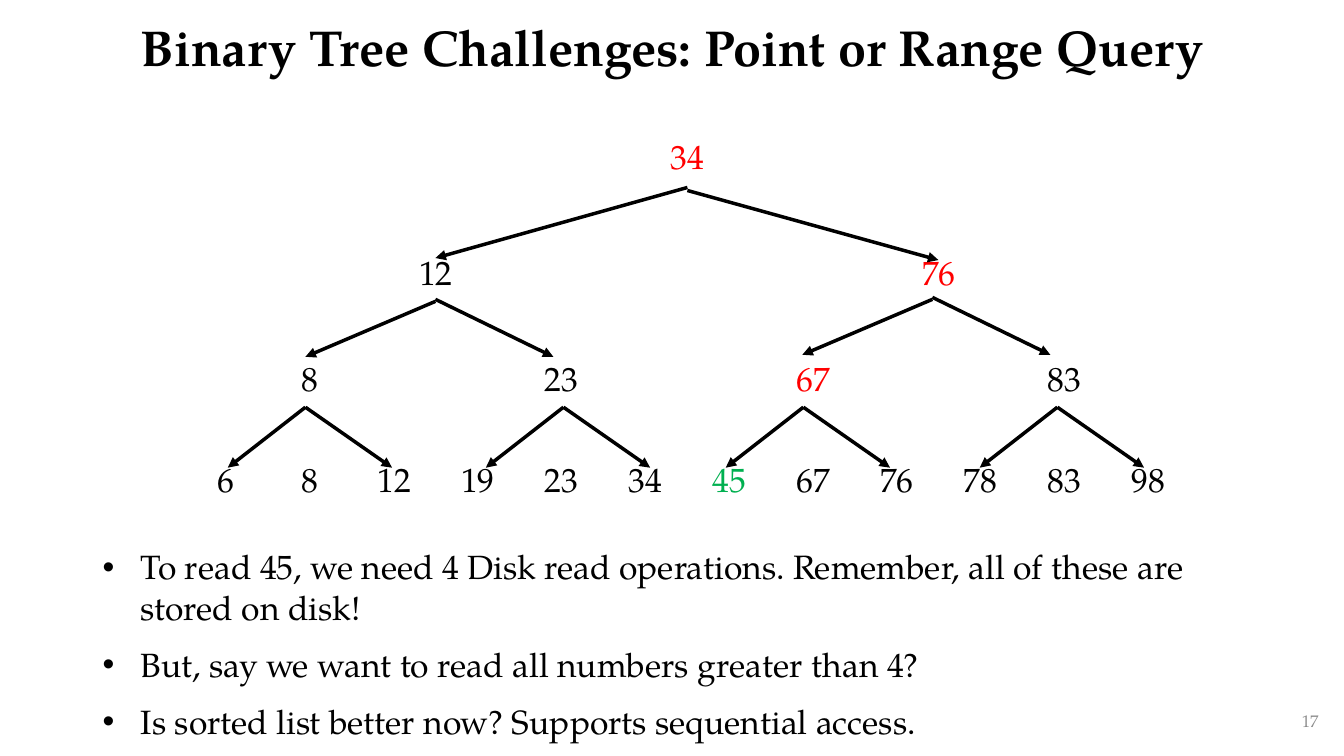
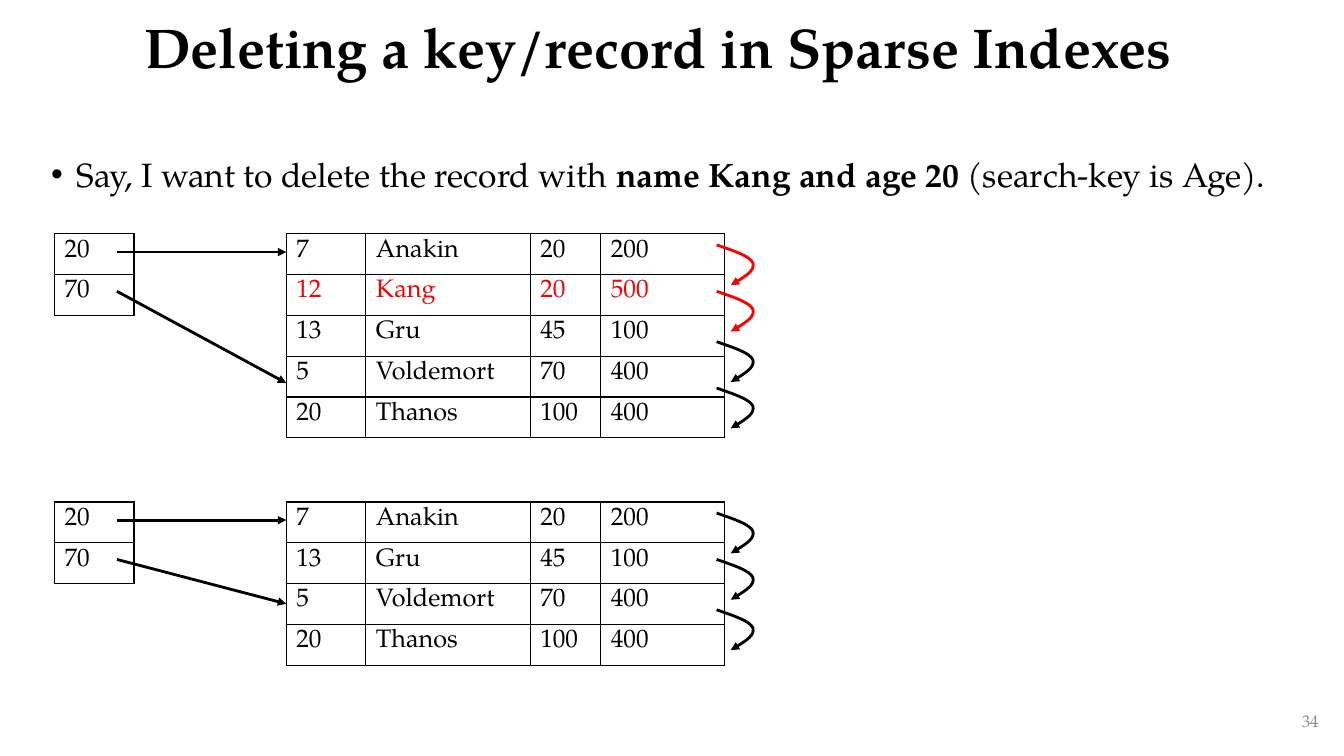
import pptx
import pptx.util
import pptx.dml.color
import pptx.enum.shapes
import pptx.enum.text
import pptx.oxml.ns
from lxml import etree

Inches, Pt = pptx.util.Inches, pptx.util.Pt
ALIGN = pptx.enum.text.PP_ALIGN
ANCHOR = pptx.enum.text.MSO_ANCHOR
qn = pptx.oxml.ns.qn

FONT = "TeX Gyre Pagella"
COLORS = {"ink": "000000", "red": "FF0000", "green": "00B050", "gray": "8C8C8C", "white": "FFFFFF"}
PLAIN = "{2D5ABB26-0587-4C30-8999-92F81FD0307C}"

TREE = {
    "title": ("Binary Tree Challenges: Point or Range Query", 36, 0.92, 11.5),
    "page": "17",
    "left": 1.83,
    "width": 9.98,
    "levels": [
        (1.39, ["34"]),
        (2.54, ["12", "76"]),
        (3.59, ["8", "23", "67", "83"]),
        (4.59, ["6", "8", "12", "19", "23", "34", "45", "67", "76", "78", "83", "98"]),
    ],
    "marks": {(0, 0): "red", (1, 1): "red", (2, 2): "red", (3, 6): "green"},
    "forks": [
        ([(6.82, 1.86)], [(-2.5, 0, 0.7), (2.49, 0.03, 0.72)]),
        ([(4.32, 2.99), (9.25, 2.97)], [(-1.29, 0, 0.55), (1.17, -0.02, 0.55)]),
        ([(3.03, 4.04), (5.59, 4.04), (7.97, 4.04), (10.49, 4.04)],
         [(-0.77, 0, 0.6), (0.86, 0, 0.6)]),
    ],
    "notes": [
        "To read 45, we need 4 Disk read operations. Remember, all of these are stored on disk!",
        "But, say we want to read all numbers greater than 4?",
        "Is sorted list better now? Supports sequential access.",
    ],
}

ROWS = [
    ["7", "Anakin", "20", "200"],
    ["12", "Kang", "20", "500"],
    ["13", "Gru", "45", "100"],
    ["5", "Voldemort", "70", "400"],
    ["20", "Thanos", "100", "400"],
]
KEYS = [["20"], ["70"]]
SPARSE = {
    "title": ("Deleting a key/record in Sparse Indexes", 40, 0.54, 11.97),
    "page": "34",
    "task": [
        ("Say, I want to delete the record with ", False),
        ("name Kang and age 20 ", True),
        ("(search-key is Age).", False),
    ],
    "stages": [
        {"top": 2.32, "rows": ROWS, "gone": 1, "reds": 2, "drop": 1.48},
        {"top": 4.98, "rows": ROWS[:1] + ROWS[2:], "gone": None, "reds": 0, "drop": 1.01},
    ],
}
COLS = [0.79, 1.63, 0.7, 1.23]
ROW = 0.81 / 2
HOPS = [0.11, 0.57, 1.07, 1.53]
CURVE = [
    [(0.17, 0.06), (0.33, 0.11), (0.36, 0.18)],
    [(0.38, 0.25), (0.26, 0.33), (0.14, 0.4)],
]


def rgb(name):
    return pptx.dml.color.RGBColor.from_string(COLORS[name])


def add_run(para, text, size, color="ink", bold=False):
    run = para.add_run()
    run.text = text
    font = run.font
    font.name, font.size, font.bold = FONT, Pt(size), bold
    font.color.rgb = rgb(color)


def add_box(slide, left, top, width, height, anchor=ANCHOR.TOP):
    frame = slide.shapes.add_textbox(*map(Inches, (left, top, width, height))).text_frame
    frame.word_wrap = True
    frame.vertical_anchor = anchor
    return frame


def set_bullet(para, indent):
    props = para._p.get_or_add_pPr()
    props.set("marL", str(Inches(indent)))
    props.set("indent", str(-Inches(indent)))
    etree.SubElement(props, qn("a:buFont"), typeface="Arial")
    etree.SubElement(props, qn("a:buChar"), char="•")


def style_arrow(shape, color, width):
    shape.line.color.rgb = rgb(color)
    shape.line.width = Pt(width)
    props = shape._element.spPr
    etree.SubElement(props.find(qn("a:ln")), qn("a:tailEnd"), type="triangle")
    etree.SubElement(props, qn("a:effectLst"))


def add_arrow(slide, start, end, width):
    kind = pptx.enum.shapes.MSO_CONNECTOR.STRAIGHT
    line = slide.shapes.add_connector(kind, *map(Inches, (*start, *end)))
    style_arrow(line, "ink", width)


def add_hop(slide, left, top, color):
    knots = [(Inches(left + x), Inches(top + y)) for x, y in [part[-1] for part in CURVE]]
    draft = slide.shapes.build_freeform(Inches(left), Inches(top))
    draft.add_line_segments(knots, close=False)
    shape = draft.convert_to_shape()
    lines = list(shape._element.iter(qn("a:lnTo")))
    for line, part in zip(lines, CURVE):
        bend = etree.Element(qn("a:cubicBezTo"))
        for x, y in part:
            etree.SubElement(bend, qn("a:pt"), x=str(Inches(x)), y=str(Inches(y)))
        line.getparent().replace(line, bend)
    shape.fill.background()
    style_arrow(shape, color, 2)


def add_grid(slide, left, top, cols, height, rows, size, align, tint, border=False):
    frame = slide.shapes.add_table(
        len(rows), len(cols), *map(Inches, (left, top, sum(cols), height * len(rows)))
    )
    table = frame.table
    table.first_row = table.horz_banding = False
    table._tbl.tblPr.find(qn("a:tableStyleId")).text = PLAIN
    for col, width in zip(table.columns, cols):
        col.width = Inches(width)
    for r, row in enumerate(rows):
        table.rows[r].height = Inches(height)
        for c, text in enumerate(row):
            cell = table.cell(r, c)
            para = cell.text_frame.paragraphs[0]
            para.alignment = align
            add_run(para, text, size, tint(r, c))
            if border:
                add_border(cell)
            cell.fill.background()


def add_border(cell):
    props = cell._tc.get_or_add_tcPr()
    for side in ("lnL", "lnR", "lnT", "lnB"):
        line = etree.SubElement(props, qn("a:" + side), w=str(Pt(1)))
        fill = etree.SubElement(line, qn("a:solidFill"))
        etree.SubElement(fill, qn("a:srgbClr"), val=COLORS["ink"])


def add_slide(deck, data):
    slide = deck.slides.add_slide(deck.slide_layouts[6])
    slide.background.fill.solid()
    slide.background.fill.fore_color.rgb = rgb("white")
    text, size, left, width = data["title"]
    para = add_box(slide, left, 0, width, 0.99, ANCHOR.MIDDLE).paragraphs[0]
    para.alignment = ALIGN.CENTER
    para.line_spacing = 0.9
    add_run(para, text, size, bold=True)
    para = add_box(slide, 10.18, 6.95, 3, 0.4, ANCHOR.MIDDLE).paragraphs[0]
    para.alignment = ALIGN.RIGHT
    add_run(para, data["page"], 12, "gray")
    return slide


def draw_tree(deck):
    slide = add_slide(deck, TREE)
    for depth, (top, nodes) in enumerate(TREE["levels"]):
        cols = [TREE["width"] / len(nodes)] * len(nodes)
        add_grid(slide, TREE["left"], top, cols, 0.5, [nodes], 24, ALIGN.CENTER,
                 lambda r, c: TREE["marks"].get((depth, c), "ink"))
    for heads, arms in TREE["forks"]:
        for x, y in heads:
            for shift, start, end in arms:
                add_arrow(slide, (x, y + start), (x + shift, y + end), 2.5)
    frame = add_box(slide, 0.92, 5.37, 11.5, 2.05)
    for i, note in enumerate(TREE["notes"]):
        para = frame.add_paragraph() if i else frame.paragraphs[0]
        if i:
            para.space_before = Pt(12)
        set_bullet(para, 0.38)
        add_run(para, note, 24)


def draw_sparse(deck):
    slide = add_slide(deck, SPARSE)
    para = add_box(slide, 0.41, 1.52, 12.92, 0.8).paragraphs[0]
    para.alignment = ALIGN.JUSTIFY
    para.line_spacing = 0.9
    set_bullet(para, 0.25)
    for text, bold in SPARSE["task"]:
        add_run(para, text, 24, bold=bold)
    for stage in SPARSE["stages"]:
        top, rows = stage["top"], stage["rows"]
        add_grid(slide, 2.84, top, COLS, ROW, rows, 18, ALIGN.LEFT,
                 lambda r, c: "red" if r == stage["gone"] else "ink", True)
        add_grid(slide, 0.54, top, COLS[:1], ROW, KEYS, 18, ALIGN.LEFT,
                 lambda r, c: "ink", True)
        for i, hop in enumerate(HOPS[:len(rows) - 1]):
            add_hop(slide, 7.11, top + hop, "red" if i < stage["reds"] else "ink")
        for start, end in ((0.18, 0.18), (0.57, stage["drop"])):
            add_arrow(slide, (1.16, top + start), (2.84, top + end), 2)


def main():
    deck = pptx.Presentation()
    deck.slide_width, deck.slide_height = Inches(40) // 3, Inches(7.5)
    draw_tree(deck)
    draw_sparse(deck)
    deck.save("out.pptx")


if __name__ == "__main__":
    main()
